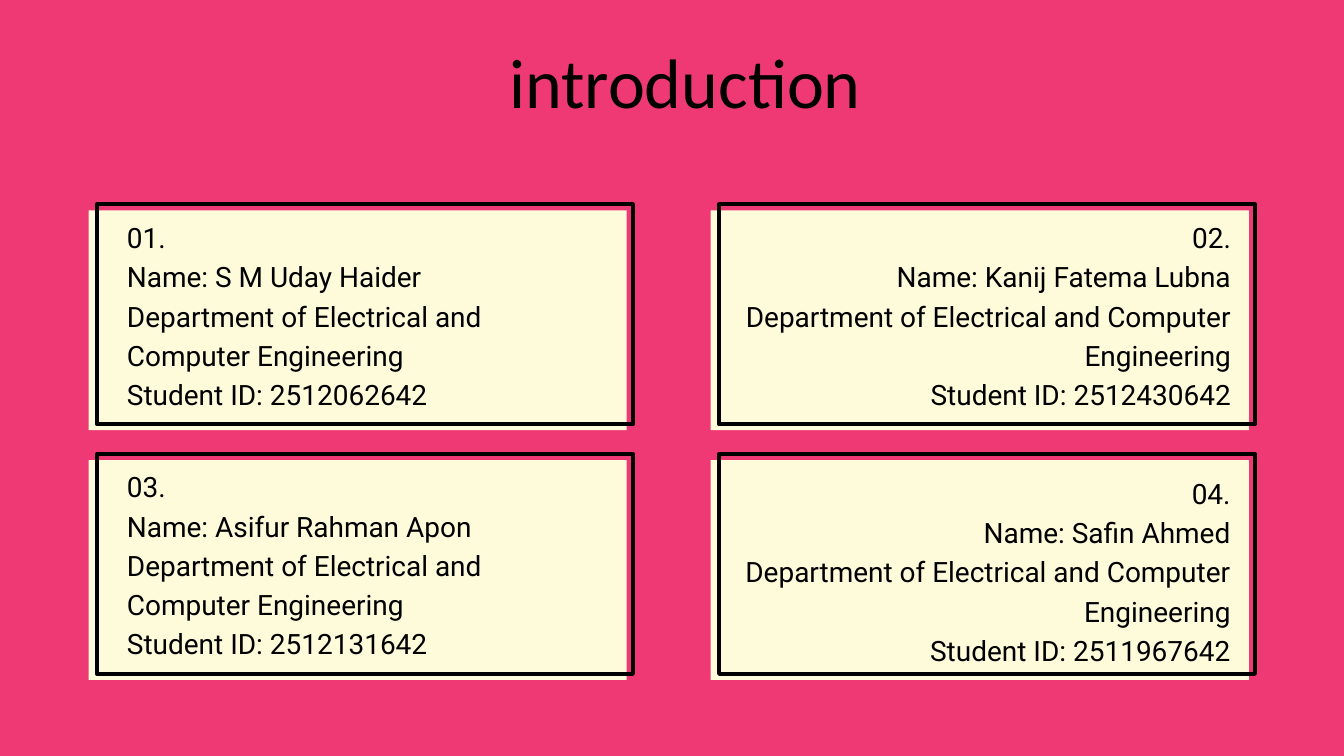
"""Build the introduction slide with four student cards."""
from dataclasses import dataclass

from pptx import Presentation
from pptx.dml.color import RGBColor
from pptx.enum.shapes import MSO_SHAPE as Shape
from pptx.enum.text import PP_ALIGN as Align
from pptx.slide import Slide
from pptx.util import Pt

PINK = RGBColor(0xEE, 0x39, 0x75)
CREAM = RGBColor(0xFE, 0xFB, 0xDB)
BLACK = RGBColor(0, 0, 0)

LEFT, TOP = 95, 225.5
COL_STEP, ROW_STEP = 666.5, 267.5
PANEL_W, FRAME_W, CARD_H = 576.5, 574, 235.5
SHIFT_X, SHIFT_Y = 9, -6.5
MAJOR = "Department of Electrical and Computer Engineering"


@dataclass
class Card:
    col: int
    row: int
    text_x: float
    text_y: float
    text_w: float
    align: Align
    lines: tuple[str, ...]


CARDS = (
    Card(0, 0, 136, 230.5, 420, Align.LEFT,
         ("01.", "Name: S M Uday Haider", "Department of Electrical and",
          "Computer Engineering", "Student ID: 2512062642")),
    Card(1, 0, 762, 230.5, 557, Align.RIGHT,
         ("02.", "Name: Kanij Fatema Lubna", MAJOR, "Student ID: 2512430642")),
    Card(0, 1, 136, 497.5, 466, Align.LEFT,
         ("03.", "Name: Asifur Rahman Apon", MAJOR, "Student ID: 2512131642")),
    Card(1, 1, 785.5, 504.5, 533, Align.RIGHT,
         ("04.", "Name: Safin Ahmed", MAJOR, "Student ID: 2511967642")),
)


def add_box(slide: Slide, x: float, y: float, width: float,
            filled: bool) -> None:
    box = slide.shapes.add_shape(
        Shape.RECTANGLE, Pt(x), Pt(y), Pt(width), Pt(CARD_H))
    box.shadow.inherit = False
    if filled:
        box.fill.solid()
        box.fill.fore_color.rgb = CREAM
        box.line.fill.background()
    else:
        box.fill.background()
        box.line.color.rgb = BLACK
        box.line.width = Pt(4.5)


def add_text(slide: Slide, x: float, y: float, width: float, height: float,
             lines: tuple[str, ...], align: Align, font: str, size: float,
             lead: float) -> None:
    frame = slide.shapes.add_textbox(
        Pt(x), Pt(y), Pt(width), Pt(height)).text_frame
    frame.word_wrap = True
    frame.margin_left = frame.margin_right = 0
    frame.margin_top = frame.margin_bottom = 0
    frame.text = "\n".join(lines)
    for para in frame.paragraphs:
        para.alignment = align
        para.line_spacing = Pt(lead)
        para.font.name = font
        para.font.size = Pt(size)
        para.font.color.rgb = BLACK


def add_card(slide: Slide, card: Card) -> None:
    x = LEFT + card.col * COL_STEP
    y = TOP + card.row * ROW_STEP
    add_box(slide, x, y, PANEL_W, True)
    add_box(slide, x + SHIFT_X, y + SHIFT_Y, FRAME_W, False)
    add_text(slide, card.text_x, card.text_y, card.text_w, 209,
             card.lines, card.align, "Roboto", 30, 42)


def main() -> None:
    deck = Presentation()
    deck.slide_width, deck.slide_height = Pt(1440), Pt(810)
    slide = deck.slides.add_slide(deck.slide_layouts[6])
    back = slide.background.fill
    back.solid()
    back.fore_color.rgb = PINK
    for card in CARDS:
        add_card(slide, card)
    add_text(slide, 95, 26.5, 1278, 113, ("introduction",), Align.CENTER,
             "Calibri", 75, 105)
    deck.save("out.pptx")


if __name__ == "__main__":
    main()
